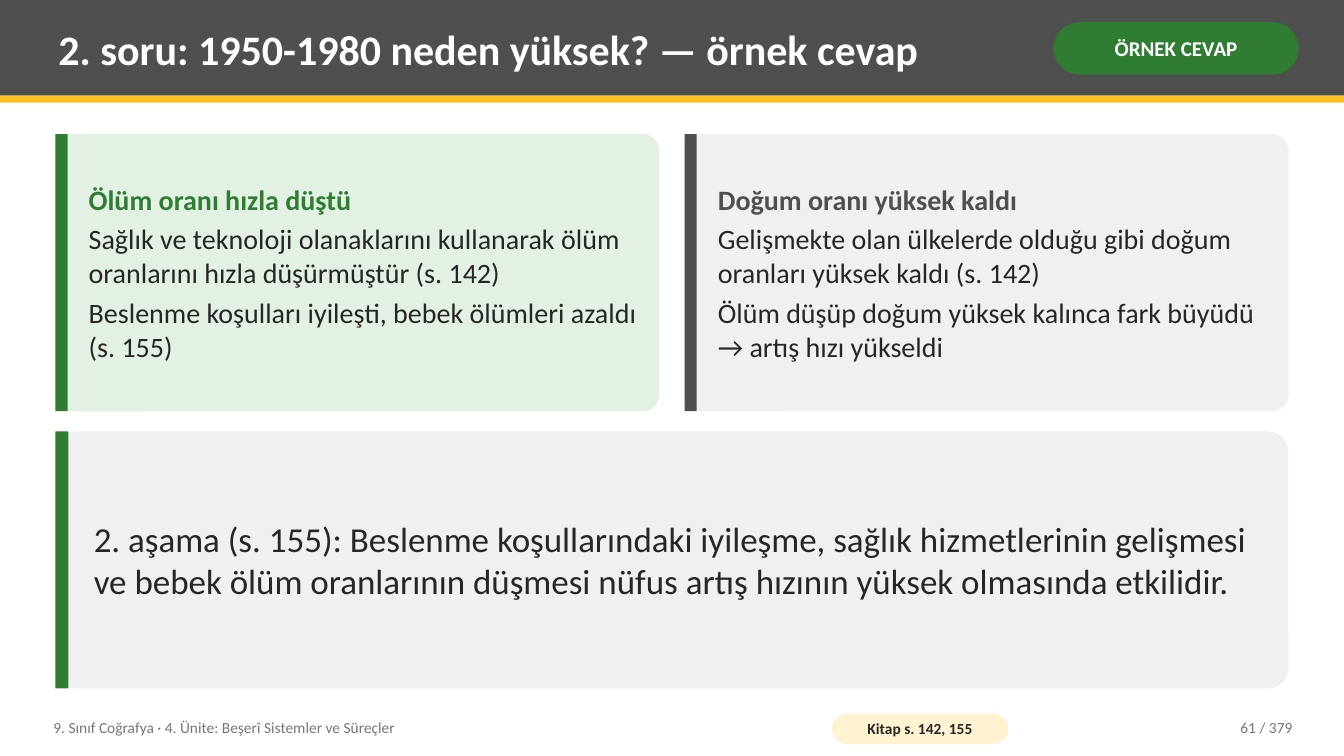
from pptx import Presentation
from pptx.dml.color import RGBColor
from pptx.enum.shapes import MSO_SHAPE
from pptx.enum.text import MSO_ANCHOR, MSO_AUTO_SIZE, PP_ALIGN
from pptx.util import Emu, Pt

GREEN, GREY, GOLD, WHITE = "2E7D32", "4F4F4F", "FCC021", "FFFFFF"
INK, MUTED, MINT, PALE, CREAM = "262626", "767676", "E3F1E4", "F0F0F0", "FFF3D1"


def px(num):
    """Convert px (100 to the inch) to EMU."""
    return Emu(num * 9144)


def color(code):
    return RGBColor.from_string(code)


def write(frame, text, first=False, size=20, ink=INK, bold=False,
          align=PP_ALIGN.LEFT, after=0):
    """Put one formatted paragraph into a text frame."""
    para = frame.paragraphs[0] if first else frame.add_paragraph()
    para.alignment = align
    para.space_after = Pt(after)
    run = para.add_run()
    run.text = text
    font = run.font
    font.name, font.size, font.bold = "Calibri", Pt(size), bold
    font.color.rgb = color(ink)


class Page:
    def __init__(self, deck):
        self.slide = deck.slides.add_slide(deck.slide_layouts[5])
        self.shapes = self.slide.shapes

    def frame(self, shape, pad_x=8, pad_y=4):
        frame = shape.text_frame
        frame.word_wrap = True
        frame.auto_size = MSO_AUTO_SIZE.NONE
        frame.vertical_anchor = MSO_ANCHOR.MIDDLE
        frame.margin_left = frame.margin_right = px(pad_x)
        frame.margin_top = frame.margin_bottom = px(pad_y)
        return frame

    def block(self, x, y, w, h, fill, curve=None):
        kind = MSO_SHAPE.RECTANGLE if curve is None else MSO_SHAPE.ROUNDED_RECTANGLE
        shape = self.shapes.add_shape(kind, px(x), px(y), px(w), px(h))
        if curve is not None:
            shape.adjustments[0] = curve
        shape.shadow.inherit = False
        shape.fill.solid()
        shape.fill.fore_color.rgb = color(fill)
        shape.line.fill.background()
        return shape

    def title(self, text, x, y, w, h):
        shape = self.shapes.title
        shape.left, shape.top, shape.width, shape.height = map(px, (x, y, w, h))
        # Bring the title in front of the header band
        shape.element.getparent().append(shape.element)
        write(self.frame(shape), text, first=True, size=30, ink=WHITE, bold=True)

    def label(self, x, y, w, h):
        return self.frame(self.shapes.add_textbox(px(x), px(y), px(w), px(h)))

    def pill(self, text, x, y, w, h, fill, pad_x, pad_y, **style):
        frame = self.frame(self.block(x, y, w, h, fill, 0.5), pad_x, pad_y)
        write(frame, text, first=True, bold=True, align=PP_ALIGN.CENTER, **style)

    def panel(self, x, y, w, h, fill, edge, curve, stripe):
        self.block(x, y, w, h, fill, curve)
        self.block(x, y, stripe, h, edge)

    def card(self, x, fill, edge, head, lines):
        self.panel(x, 133, 599, 275, fill, edge, 0.06, 12)
        frame = self.label(x + 25, 139, 564, 263)
        write(frame, head, first=True, ink=edge, bold=True, after=4)
        for line in lines:
            write(frame, line, after=5)


def main():
    deck = Presentation()
    deck.slide_width, deck.slide_height = px(1333), px(750)
    page = Page(deck)

    # Header
    page.block(0, 0, 1333, 95, GREY)
    page.block(0, 95, 1333, 7, GOLD)
    page.title("2. soru: 1950-1980 neden yüksek? — örnek cevap", 50, 7, 975, 82)
    page.pill("ÖRNEK CEVAP", 1045, 22, 243, 52, GREEN, 5, 2, size=15, ink=WHITE)

    # Two cause cards
    cards = [
        (MINT, GREEN, "Ölüm oranı hızla düştü", [
            "Sağlık ve teknoloji olanaklarını kullanarak ölüm oranlarını hızla düşürmüştür (s. 142)",
            "Beslenme koşulları iyileşti, bebek ölümleri azaldı (s. 155)"]),
        (PALE, GREY, "Doğum oranı yüksek kaldı", [
            "Gelişmekte olan ülkelerde olduğu gibi doğum oranları yüksek kaldı (s. 142)",
            "Ölüm düşüp doğum yüksek kalınca fark büyüdü → artış hızı yükseldi"]),
    ]
    for col, card in enumerate(cards):
        page.card(55 + col * 624, *card)

    # Summary panel
    page.panel(55, 428, 1223, 255, PALE, GREEN, 0.08, 13)
    write(page.label(85, 428, 1178, 255),
          "2. aşama (s. 155): Beslenme koşullarındaki iyileşme, sağlık hizmetlerinin "
          "gelişmesi ve bebek ölüm oranlarının düşmesi nüfus artış hızının yüksek "
          "olmasında etkilidir.", first=True, size=25)

    # Footer
    write(page.label(45, 704, 760, 36),
          "9. Sınıf Coğrafya · 4. Ünite: Beşerî Sistemler ve Süreçler",
          first=True, size=11, ink=MUTED)
    page.pill("Kitap s. 142, 155", 825, 708, 175, 30, CREAM, 4, 0, size=11)
    write(page.label(1130, 704, 160, 36), "61 / 379",
          first=True, size=11, ink=MUTED, align=PP_ALIGN.RIGHT)

    deck.save("out.pptx")


if __name__ == "__main__":
    main()
